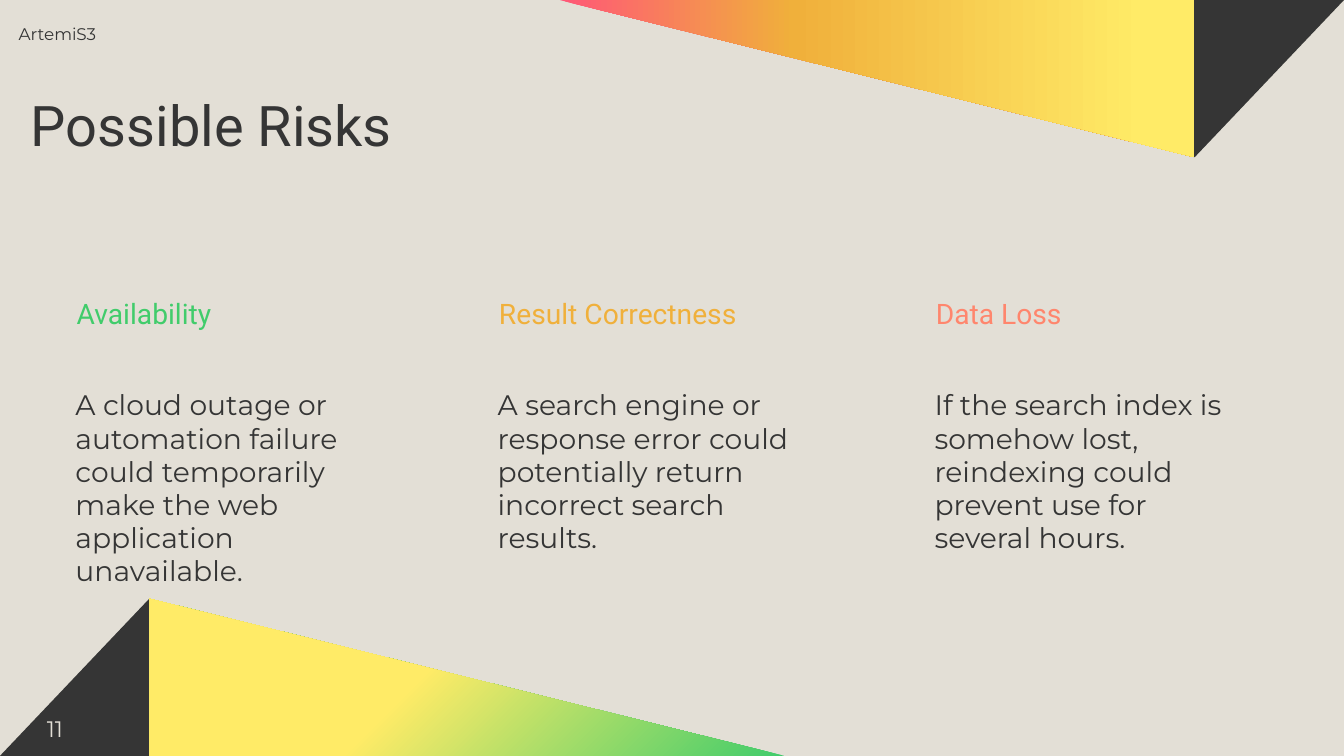
from lxml import etree
from pptx import Presentation
from pptx.dml.color import RGBColor
from pptx.enum.shapes import MSO_SHAPE
from pptx.enum.text import MSO_ANCHOR
from pptx.oxml.ns import qn
from pptx.util import Pt

TRAPEZOID = MSO_SHAPE.TRAPEZOID
RIGHT_TRIANGLE = MSO_SHAPE.RIGHT_TRIANGLE
TOP, MIDDLE = MSO_ANCHOR.TOP, MSO_ANCHOR.MIDDLE

SLIDE_WIDTH, SLIDE_HEIGHT = 720, 405
DARK, SAND, YELLOW = "353535", "E3DFD6", "FFEB67"
GREEN, AMBER, CORAL, PINK = "41CC6B", "F0B03B", "FF866D", "FF5777"
CORNER_WIDTH, RIBBON_WIDTH, BAND_HEIGHT = 160.5, 340, 84.2
COLUMN_WIDTH = 181.5
RISKS = [
    (31.2, "Availability", GREEN,
     "A cloud outage or automation failure could temporarily make the web "
     "application unavailable."),
    (257.4, "Result Correctness", AMBER,
     "A search engine or response error could potentially return incorrect "
     "search results."),
    (491.4, "Data Loss", CORAL,
     "If the search index is somehow lost, reindexing could prevent use for "
     "several hours."),
]


def color(value):
    return RGBColor.from_string(value)


def add_text(slide, box, text, size, font, hue, inset=7.2, anchor=TOP, spacing=1.0):
    label = slide.shapes.add_textbox(*map(Pt, box))
    frame = label.text_frame
    margins = {f"margin_{side}": Pt(inset) for side in ("left", "top", "right", "bottom")}
    for name, value in {**margins, "word_wrap": True, "vertical_anchor": anchor}.items():
        setattr(frame, name, value)
    paragraph = frame.paragraphs[0]
    paragraph.text = text
    paragraph.line_spacing = spacing
    for name, value in {"size": Pt(size), "name": font}.items():
        setattr(paragraph.font, name, value)
    paragraph.font.color.rgb = color(hue)


def add_band_part(slide, kind, box, rotation):
    part = slide.shapes.add_shape(kind, *map(Pt, box))
    part.shadow.inherit = False
    part.line.fill.background()
    part.rotation = rotation
    return part


def add_corner(slide, left, top, rotation):
    corner = add_band_part(slide, TRAPEZOID, (left, top, CORNER_WIDTH, BAND_HEIGHT), rotation)
    corner.adjustments[0] = 0.95
    corner.fill.solid()
    corner.fill.fore_color.rgb = color(DARK)


def add_ribbon(slide, left, top, rotation, stops, angle):
    ribbon = add_band_part(slide, RIGHT_TRIANGLE, (left, top, RIBBON_WIDTH, BAND_HEIGHT), rotation)
    ribbon.fill.gradient()
    ribbon.fill.gradient_angle = angle
    stop_list = ribbon.element.spPr.find(".//" + qn("a:gsLst"))
    for old_stop in list(stop_list):
        stop_list.remove(old_stop)
    for position, hue in stops:
        stop = etree.SubElement(stop_list, qn("a:gs"), pos=str(position * 1000))
        etree.SubElement(stop, qn("a:srgbClr"), val=hue)


def add_risk(slide, left, heading, hue, description):
    add_text(slide, (left + 0.7, 149.8, COLUMN_WIDTH, 74), heading, 15.1, "Roboto", hue, 9.2)
    add_text(slide, (left, 199.4, COLUMN_WIDTH, 127.4), description, 15.1, "Montserrat",
             DARK, 9.2, spacing=0.98)


def main():
    presentation = Presentation()
    presentation.slide_width = Pt(SLIDE_WIDTH)
    presentation.slide_height = Pt(SLIDE_HEIGHT)
    slide = presentation.slides.add_slide(presentation.slide_layouts[6])
    slide.background.fill.solid()
    slide.background.fill.fore_color.rgb = color(SAND)

    bottom = SLIDE_HEIGHT - BAND_HEIGHT
    half_corner = CORNER_WIDTH / 2
    add_corner(slide, 0, bottom, 0)
    add_ribbon(slide, half_corner, bottom, 0,
               [(0, GREEN), (56, YELLOW), (100, YELLOW)], 135)
    add_text(slide, (2.9, 7.2, 124.6, 15.1), "ArtemiS3", 9, "Montserrat", DARK)
    add_text(slide, (9.4, 39.6, 476.6, 54), "Possible Risks", 30, "Roboto", DARK, anchor=MIDDLE)
    for risk in RISKS:
        add_risk(slide, *risk)
    add_text(slide, (18, 375.8, 152.6, 15.1), "11", 12, "Montserrat", SAND)
    add_corner(slide, SLIDE_WIDTH - CORNER_WIDTH, 0, 180)
    add_ribbon(slide, SLIDE_WIDTH - half_corner - RIBBON_WIDTH, 0, 180,
               [(0, PINK), (37, AMBER), (92, YELLOW), (100, YELLOW)], 180)
    presentation.save("out.pptx")


if __name__ == "__main__":
    main()
